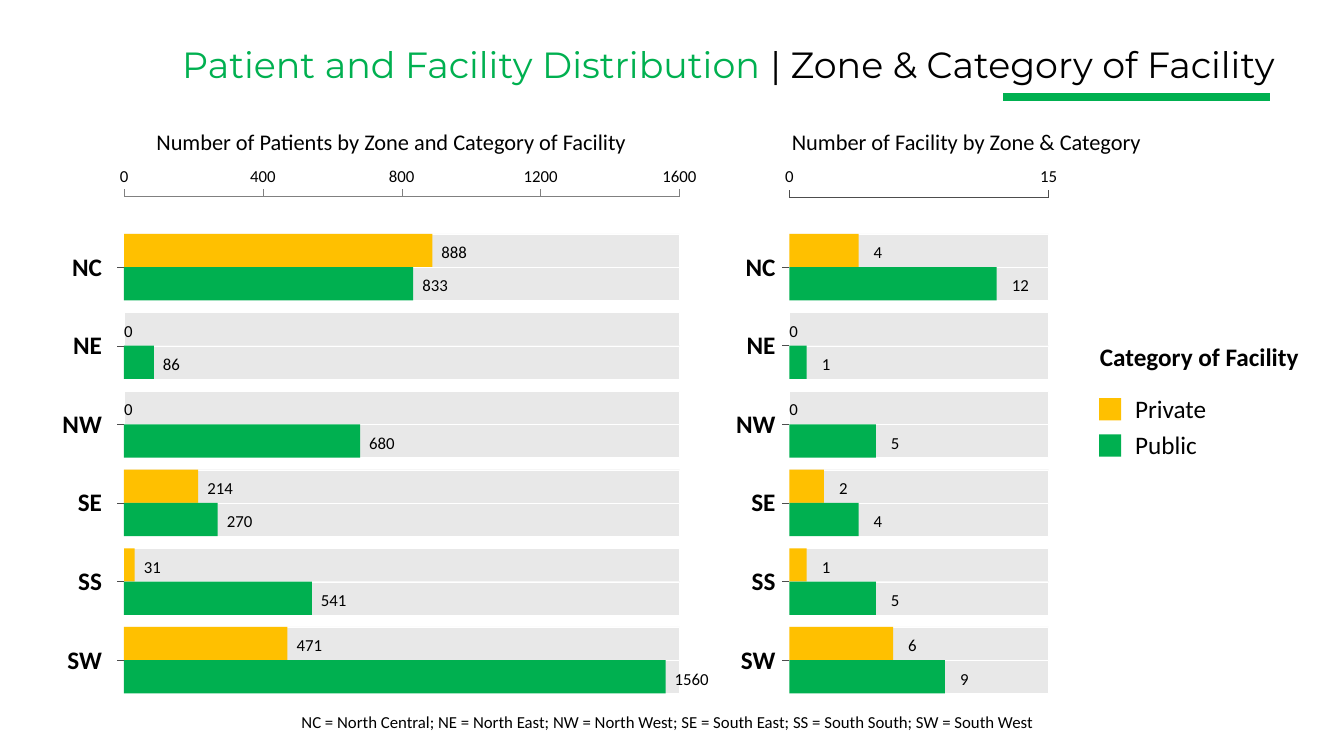
"""Draw paired bars of patients and facilities by zone and category."""
from dataclasses import dataclass

from lxml.etree import SubElement
from pptx import Presentation
from pptx.dml.color import RGBColor
from pptx.enum.shapes import MSO_CONNECTOR as Link, MSO_SHAPE as Shape
from pptx.enum.text import MSO_ANCHOR as Anchor, MSO_AUTO_SIZE as Fit, PP_ALIGN as Align
from pptx.oxml.ns import qn
from pptx.util import Inches, Pt

GREEN = RGBColor(0x00, 0xB0, 0x50)
GOLD = RGBColor(0xFF, 0xC0, 0x00)
PALE = RGBColor(0xE8, 0xE8, 0xE8)
WHITE = RGBColor(0xFF, 0xFF, 0xFF)
BLACK = RGBColor(0x00, 0x00, 0x00)
GREY = RGBColor(0x80, 0x80, 0x80)
DARK = RGBColor(0x4D, 0x4D, 0x4D)

TOP, PITCH, BAR = 2.32, 0.78, 0.33
TICK, DIGIT = 0.07, 0.09


@dataclass
class Zone:
    name: str
    width: float


@dataclass
class Panel:
    title: str
    head: float
    wide: float
    left: float
    span: float
    peak: int
    step: int
    axis: float
    ink: RGBColor
    line: float
    edge: float
    gap: float
    private: list[int]
    public: list[int]


@dataclass
class Key:
    name: str
    color: RGBColor
    top: float
    width: float


ZONES = [Zone("NC", 0.5), Zone("NE", 0.49), Zone("NW", 0.6),
         Zone("SE", 0.44), Zone("SS", 0.44), Zone("SW", 0.55)]
PANELS = [
    Panel("Number of Patients by Zone and Category of Facility", 1.52, 4.72,
          1.23, 5.51, 1600, 400, 1.95, GREY, 0.25, 1.11, 0.09,
          [888, 0, 0, 214, 31, 471], [833, 86, 680, 270, 541, 1560]),
    Panel("Number of Facility by Zone & Category", 7.83, 3.51,
          7.83, 2.57, 15, 15, 1.96, DARK, 0.5, 7.79, 0.15,
          [4, 0, 0, 2, 1, 6], [12, 1, 5, 4, 5, 9]),
]
KEYS = [Key("Private", GOLD, 3.95, 0.91), Key("Public", GREEN, 4.31, 0.82)]


def add_rect(slide, x: float, y: float, w: float, h: float,
             fill: RGBColor, edge: RGBColor | None = None) -> None:
    rect = slide.shapes.add_shape(Shape.RECTANGLE, Inches(x), Inches(y), Inches(w), Inches(h))
    rect.shadow.inherit = False
    rect.fill.solid()
    rect.fill.fore_color.rgb = fill
    if edge is None:
        rect.line.fill.background()
    else:
        rect.line.color.rgb = edge
        rect.line.width = Pt(0.1)


def add_line(slide, x: float, y: float, to_x: float, to_y: float,
             color: RGBColor, width: float) -> None:
    line = slide.shapes.add_connector(Link.STRAIGHT, Inches(x), Inches(y),
                                      Inches(to_x), Inches(to_y))
    line.line.color.rgb = color
    line.line.width = Pt(width)
    SubElement(line._element.spPr, qn("a:effectLst"))


def add_text(slide, text: str, x: float, y: float, w: float, h: float = 0.2,
             size: int = 12, bold: bool = False, inset: bool = False,
             align: Align = Align.LEFT) -> None:
    frame = slide.shapes.add_textbox(Inches(x), Inches(y), Inches(w), Inches(h)).text_frame
    frame.text = text
    frame.word_wrap = False
    frame.auto_size = Fit.SHAPE_TO_FIT_TEXT
    if not inset:
        frame.margin_left = frame.margin_right = 0
        frame.margin_top = frame.margin_bottom = 0
    part = frame.paragraphs[0]
    part.alignment = align
    font = part.runs[0].font
    font.name, font.size, font.bold = "Calibri", Pt(size), bold
    font.color.rgb = BLACK


def add_title(slide) -> None:
    title = slide.shapes.title
    title.left, title.top = Inches(1.26), Inches(0.37)
    title.width, title.height = Inches(11.49), Inches(0.54)
    frame = title.text_frame
    frame.word_wrap = False
    frame.auto_size = Fit.SHAPE_TO_FIT_TEXT
    frame.vertical_anchor = Anchor.TOP
    part = frame.paragraphs[0]
    part.alignment = Align.RIGHT
    for text, color in (("Patient and Facility Distribution ", GREEN),
                        ("| Zone & Category of Facility", BLACK)):
        run = part.add_run()
        run.text = text
        run.font.name, run.font.size = "Montserrat", Pt(26)
        run.font.color.rgb = color
    add_line(slide, 9.95, 0.96, 12.6, 0.96, GREEN, 6)


def add_axis(slide, panel: Panel) -> None:
    add_line(slide, panel.left, panel.axis, panel.left + panel.span, panel.axis,
             panel.ink, panel.line)
    for mark in range(0, panel.peak + 1, panel.step):
        x = panel.left + panel.span * mark / panel.peak
        add_line(slide, x, panel.axis - TICK, x, panel.axis, panel.ink, panel.line)
        wide = DIGIT * len(str(mark))
        add_text(slide, str(mark), x - wide / 2, 1.64, wide, align=Align.CENTER)


def add_bar(slide, panel: Panel, value: int, y: float, color: RGBColor) -> None:
    add_rect(slide, panel.left, y, panel.span, BAR, PALE, WHITE)
    long = panel.span * value / panel.peak
    if value:
        add_rect(slide, panel.left, y, long, BAR, color)
    x = panel.left + long + (panel.gap if value else 0)
    add_text(slide, str(value), x, y + 0.08, DIGIT * len(str(value)))


def add_panel(slide, panel: Panel) -> None:
    add_text(slide, panel.title, panel.head, 1.27, panel.wide, 0.27, 16, align=Align.CENTER)
    add_axis(slide, panel)
    rows = zip(ZONES, panel.private, panel.public)
    for i, (zone, private, public) in enumerate(rows):
        y = TOP + i * PITCH
        mid = y + BAR
        add_bar(slide, panel, private, y, GOLD)
        add_bar(slide, panel, public, mid, GREEN)
        add_line(slide, panel.left, mid, panel.left - TICK, mid, DARK, panel.line)
        add_text(slide, zone.name, panel.edge - zone.width, y + 0.12, zone.width, 0.4,
                 18, True, True, Align.RIGHT)


def add_legend(slide) -> None:
    add_text(slide, "Category of Facility", 10.81, 3.34, 2.19, 0.4, 18, True, True)
    for key in KEYS:
        add_rect(slide, 10.9, key.top, 0.22, 0.22, key.color)
        add_text(slide, key.name, 11.16, key.top - 0.1, key.width, 0.4, 18, inset=True)


def main() -> None:
    deck = Presentation()
    deck.slide_width, deck.slide_height = Inches(13.33), Inches(7.5)
    slide = deck.slides.add_slide(deck.slide_layouts[5])
    add_title(slide)
    for panel in PANELS:
        add_panel(slide, panel)
    add_legend(slide)
    add_text(slide, "NC = North Central; NE = North East; NW = North West; "
             "SE = South East; SS = South South; SW = South West", 2.99, 7.06, 7.34)
    deck.save("out.pptx")


if __name__ == "__main__":
    main()
